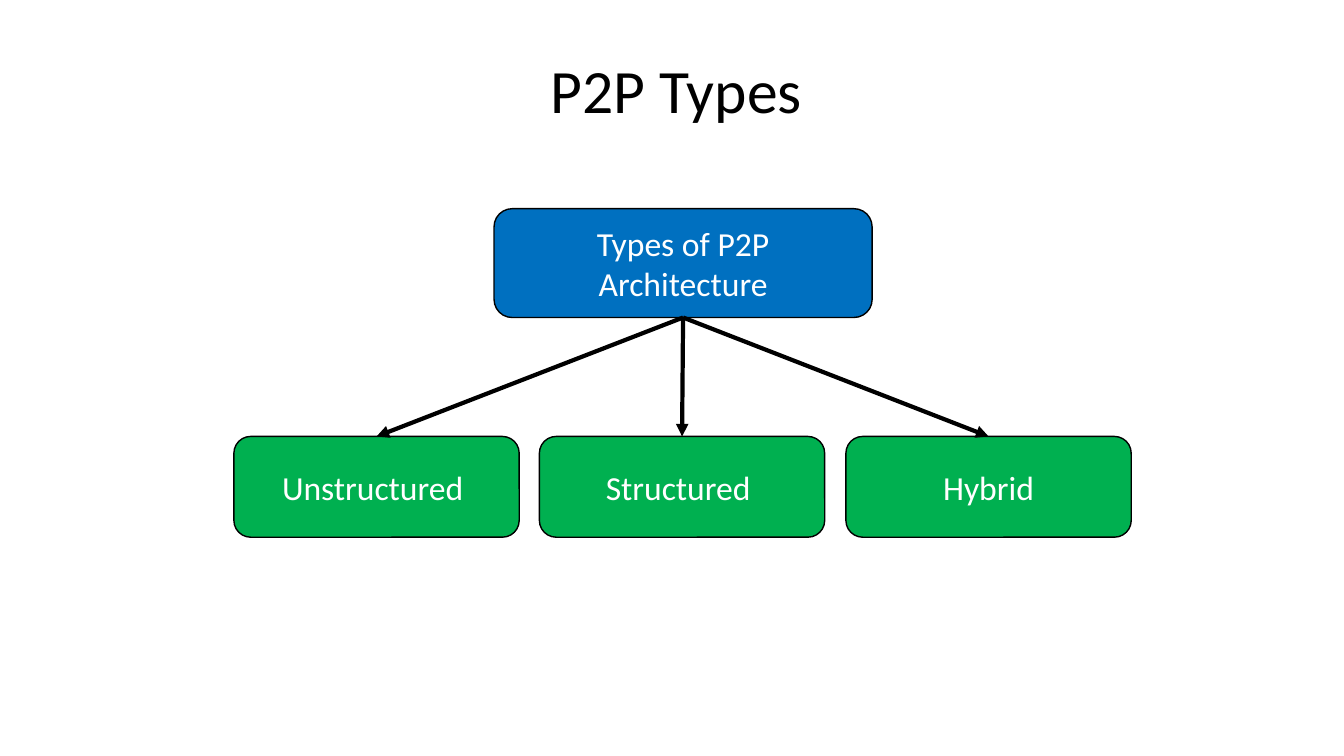
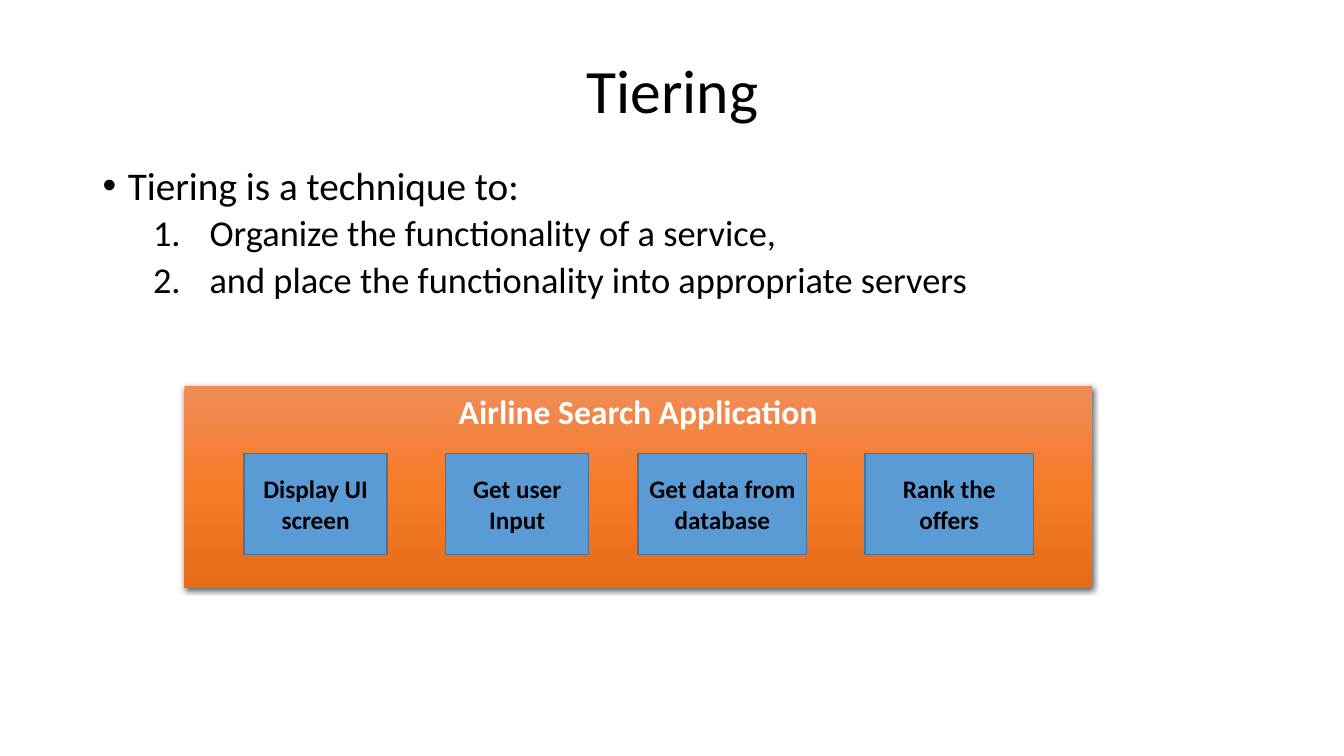
"""Build two slides on P2P types and tiering."""
from copy import deepcopy
from dataclasses import dataclass

from pptx import Presentation
from pptx.dml.color import RGBColor as RGB
from pptx.enum.shapes import MSO_CONNECTOR as LINK, MSO_SHAPE as SHAPE
from pptx.enum.text import MSO_ANCHOR as ANCHOR, PP_ALIGN as ALIGN
from pptx.oxml.ns import qn
from pptx.oxml.xmlchemy import OxmlElement as Node
from pptx.util import Pt

PX = 9144


@dataclass(frozen=True)
class Theme:
    font: str = "Calibri"
    black: str = "000000"
    white: str = "FFFFFF"
    root: str = "0070C0"
    leaf: str = "00B050"
    card: str = "5B9BD5"
    edge: str = "43739E"
    glow: tuple = ((0, "F18C57"), (0.5, "F67B28"), (1, "E56C19"))
    title: int = 44
    lead: int = 28
    item: int = 26
    label: int = 24
    small: int = 18


T = Theme()


def px(*nums):
    return [n * PX for n in nums]


def rgb(code):
    return RGB.from_string(code)


def node(up, tag, **attrs):
    kid = Node(tag)
    for key, val in attrs.items():
        kid.set(key, str(val))
    up.append(kid)
    return kid


def style(para, size, color, bold=False):
    font = para.font
    font.name, font.size, font.bold = T.font, Pt(size), bold
    font.color.rgb = rgb(color)


def write(shape, text, size, color, bold=False, anchor=ANCHOR.MIDDLE):
    frame = shape.text_frame
    frame.word_wrap, frame.vertical_anchor = True, anchor
    para = frame.paragraphs[0]
    para.text, para.alignment = text, ALIGN.CENTER
    style(para, size, color, bold)
    return para


def title(slide, text, *area):
    box = slide.shapes.add_textbox(*px(*area))
    write(box, text, T.title, T.black).line_spacing = 0.9


def block(slide, kind, area, fill, edge):
    box = slide.shapes.add_shape(kind, *px(*area))
    box.shadow.inherit = False
    box.fill.solid()
    box.fill.fore_color.rgb = rgb(fill)
    box.line.color.rgb = rgb(edge)
    box.line.width = Pt(1)
    return box


def tile(slide, text, fill, *area):
    box = block(slide, SHAPE.ROUNDED_RECTANGLE, area, fill, T.black)
    write(box, text, T.label, T.white)
    return box


def card(slide, text, *area):
    box = block(slide, SHAPE.RECTANGLE, area, T.card, T.edge)
    write(box, text, T.small, T.black, True)


def arrow(slide, top, low):
    line = slide.shapes.add_connector(LINK.STRAIGHT, 0, 0, 0, 0)
    line.begin_connect(top, 2)
    line.end_connect(low, 0)
    line.line.color.rgb = rgb(T.black)
    line.line.width = Pt(3)
    node(line.line._get_or_add_ln(), "a:tailEnd", type="triangle")
    node(line._element.spPr, "a:effectLst")


def panel(slide, text, *area):
    box = block(slide, SHAPE.RECTANGLE, area, T.card, T.edge)
    box.line.fill.background()
    box.fill.gradient()
    box.fill.gradient_angle = 270
    props = box._element.spPr
    first = props.find(".//" + qn("a:gs"))
    first.addnext(deepcopy(first))
    for stop, (pos, color) in zip(box.fill.gradient_stops, T.glow):
        stop.position, stop.color.rgb = pos, rgb(color)
    shade = node(props.find(qn("a:effectLst")), "a:outerShdw", blurRad=Pt(4.5),
                 dist=Pt(1.5), dir=5400000, algn="ctr", rotWithShape=0)
    node(node(shade, "a:srgbClr", val=T.black), "a:alpha", val=63000)
    write(box, text, T.label, T.white, True, ANCHOR.TOP)


def point(para, text, size, left, hang, gap, mark, **attrs):
    para.text, para.line_spacing, para.space_before = text, 0.9, Pt(gap)
    props = para._p.get_or_add_pPr()
    props.set("marL", str(left * PX))
    props.set("indent", str(-hang * PX))
    node(props, "a:buFont", typeface="Arial" if mark == "a:buChar" else T.font)
    node(props, mark, **attrs)
    style(para, size, T.black)


def points(slide, lead, items, *area):
    frame = slide.shapes.add_textbox(*px(*area)).text_frame
    frame.word_wrap = True
    point(frame.paragraphs[0], lead, T.lead, 25, 25, 10, "a:buChar", char="•")
    for text in items:
        para = frame.add_paragraph()
        para.level = 1
        point(para, text, T.item, 106, 56, 5, "a:buAutoNum", type="arabicPeriod")


def types(slide):
    title(slide, "P2P Types", 192, 30, 958, 125)
    root = tile(slide, "Types of P2P Architecture", T.root, 490, 207, 375, 108)
    for i, text in enumerate(("Unstructured ", "Structured ", "Hybrid")):
        leaf = tile(slide, text, T.leaf, 232 + i * 607 // 2, 433, 283, 100)
        arrow(slide, root, leaf)


def tiers(slide):
    title(slide, "Tiering", 217, 35, 900, 115)
    points(slide, "Tiering is a technique to:",
           ("Organize the functionality of a service,",
            "and place the functionality into appropriate servers"),
           92, 160, 1150, 476)
    panel(slide, "Airline Search Application", 183, 383, 900, 200)
    for text, left, wide in (("Display UI screen", 242, 142),
                             ("Get user Input", 442, 142),
                             ("Get data from database", 633, 167),
                             ("Rank the offers", 858, 167)):
        card(slide, text, left, 450, wide, 100)


def main():
    deck = Presentation()
    deck.slide_width, deck.slide_height = px(1333, 750)
    for draw in (types, tiers):
        draw(deck.slides.add_slide(deck.slide_layouts[6]))
    deck.save("out.pptx")


if __name__ == "__main__":
    main()
